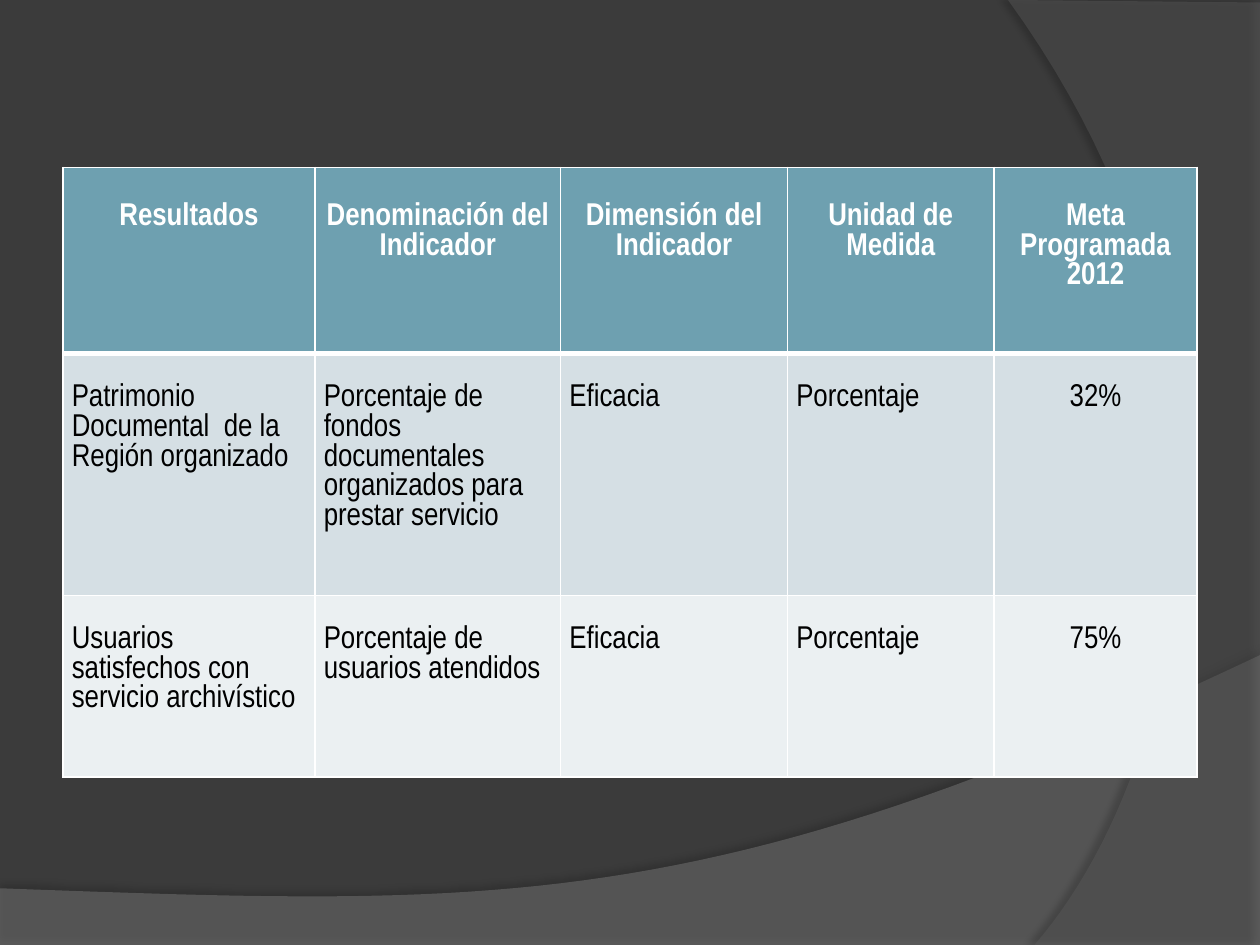
"""Builds a slide with a table of indicators over two curved bands."""
from lxml import etree
from pptx import Presentation
from pptx import util as u
from pptx.dml.color import RGBColor
from pptx.enum import text
from pptx.oxml import parse_xml
from pptx.oxml.ns import nsdecls, qn

W, H = u.Inches(10), u.Inches(7.5)
FONT = "Arial Narrow"
COLORS = {
    "back": "3B3B3B", "wave": "7F7F7F", "side": "5E5E5E", "shadow": "000000",
    "head": "6EA0B0", "odd": "D5DFE4", "even": "EBF0F2",
    "light": "FFFFFF", "dark": "000000",
}
COLS = [2, 1.95, 1.8, 1.64, 1.61]
ROWS = [1.48, 1.92, 1.44]
FILLS = ["head", "odd", "even"]
CELLS = [
    ["Resultados", "Denominación del Indicador", "Dimensión del Indicador",
     "Unidad de Medida", "Meta Programada 2012"],
    ["Patrimonio Documental  de la Región organizado",
     "Porcentaje de fondos documentales organizados para prestar servicio",
     "Eficacia", "Porcentaje", "32%"],
    ["Usuarios satisfechos con servicio archivístico",
     "Porcentaje de usuarios atendidos", "Eficacia", "Porcentaje", "75%"],
]


def rgb(name):
    """Returns the named colour."""
    return RGBColor.from_string(COLORS[name])


def curve(a, b, c, d, steps=48):
    """Returns points along a cubic curve."""
    def at(t):
        weights = ((1 - t) ** 3, 3 * t * (1 - t) ** 2, 3 * t * t * (1 - t), t ** 3)
        return tuple(sum(w * p[i] for w, p in zip(weights, (a, b, c, d))) for i in (0, 1))
    return [at(i / steps) for i in range(steps + 1)]


def add_band(s, points, color, opacity, shade, dist, angle):
    """Adds a translucent shadowed outline given in percent of the slide."""
    pts = [(round(x * W / 100), round(y * H / 100)) for x, y in points]
    fb = s.shapes.build_freeform(*pts[0])
    fb.add_line_segments(pts[1:], close=True)
    sp = fb.convert_to_shape()
    sp.fill.solid()
    sp.fill.fore_color.rgb = rgb(color)
    sp.line.fill.background()
    clr = sp.fill._xPr.find(qn("a:solidFill"))[0]
    etree.SubElement(clr, qn("a:alpha"), val=str(opacity * 1000))
    sp._element.spPr.append(parse_xml(
        f'<a:effectLst {nsdecls("a")}><a:outerShdw blurRad="{u.Pt(4)}" '
        f'dist="{u.Pt(dist)}" dir="{angle * 60000}" algn="ctr" rotWithShape="0">'
        f'<a:srgbClr val="{COLORS["shadow"]}"><a:alpha val="{shade * 1000}"/>'
        '</a:srgbClr></a:outerShdw></a:effectLst>'))


def set_borders(cell, top, bottom):
    """Draws light borders around a cell, widths in points."""
    tcPr = cell._tc.get_or_add_tcPr()
    widths = {"lnL": 1, "lnR": 1, "lnT": top, "lnB": bottom}
    for i, (tag, width) in enumerate(widths.items()):
        tcPr.insert(i, parse_xml(
            f'<a:{tag} {nsdecls("a")} w="{u.Pt(width)}"><a:solidFill>'
            f'<a:srgbClr val="{COLORS["light"]}"/></a:solidFill></a:{tag}>'))


def fill_cell(cell, words, row, centred):
    """Writes and styles one cell."""
    head = row == 0
    cell.fill.solid()
    cell.fill.fore_color.rgb = rgb(FILLS[row])
    cell.margin_left = cell.margin_right = u.Inches(0.07)
    cell.margin_top = u.Inches(0.28 if head else 0.24)
    cell.margin_bottom = 0
    cell.text = words
    p = cell.text_frame.paragraphs[0]
    p.alignment = text.PP_ALIGN.CENTER if centred else text.PP_ALIGN.LEFT
    p.font.name, p.font.size, p.font.bold = FONT, u.Pt(18), head
    p.font.color.rgb = rgb("light" if head else "dark")
    set_borders(cell, 3 if row == 1 else 1, 3 if head else 1)


def add_indicators(s):
    """Adds the table of indicators."""
    frame = s.shapes.add_table(
        len(ROWS), len(COLS), round(W * 0.05), round(H * 0.177),
        u.Inches(sum(COLS)), u.Inches(sum(ROWS)))
    table = frame.table
    for col, width in zip(table.columns, COLS):
        col.width = u.Inches(width)
    for row, height in zip(table.rows, ROWS):
        row.height = u.Inches(height)
    for r, line in enumerate(CELLS):
        for c, words in enumerate(line):
            fill_cell(table.cell(r, c), words, r, r == 0 or c == len(COLS) - 1)


def main():
    """Builds and saves the slide."""
    prs = Presentation()
    prs.slide_width, prs.slide_height = W, H
    s = prs.slides.add_slide(prs.slide_layouts[6])
    s.background.fill.solid()
    s.background.fill.fore_color.rgb = rgb("back")
    wave = curve((100, 69.33), (55.9, 97.2), (39.1, 95.87), (0, 94))
    add_band(s, [(0, 100), (100, 100)] + wave, "wave", 45, 35, 3.5, 270)
    side = curve((82.1, 100), (93.5, 82.53), (101.8, 40), (80, 0))
    add_band(s, [(100, 0.27), (100, 100)] + side, "side", 40, 45, 4, 180)
    add_indicators(s)
    prs.save("out.pptx")


main()
